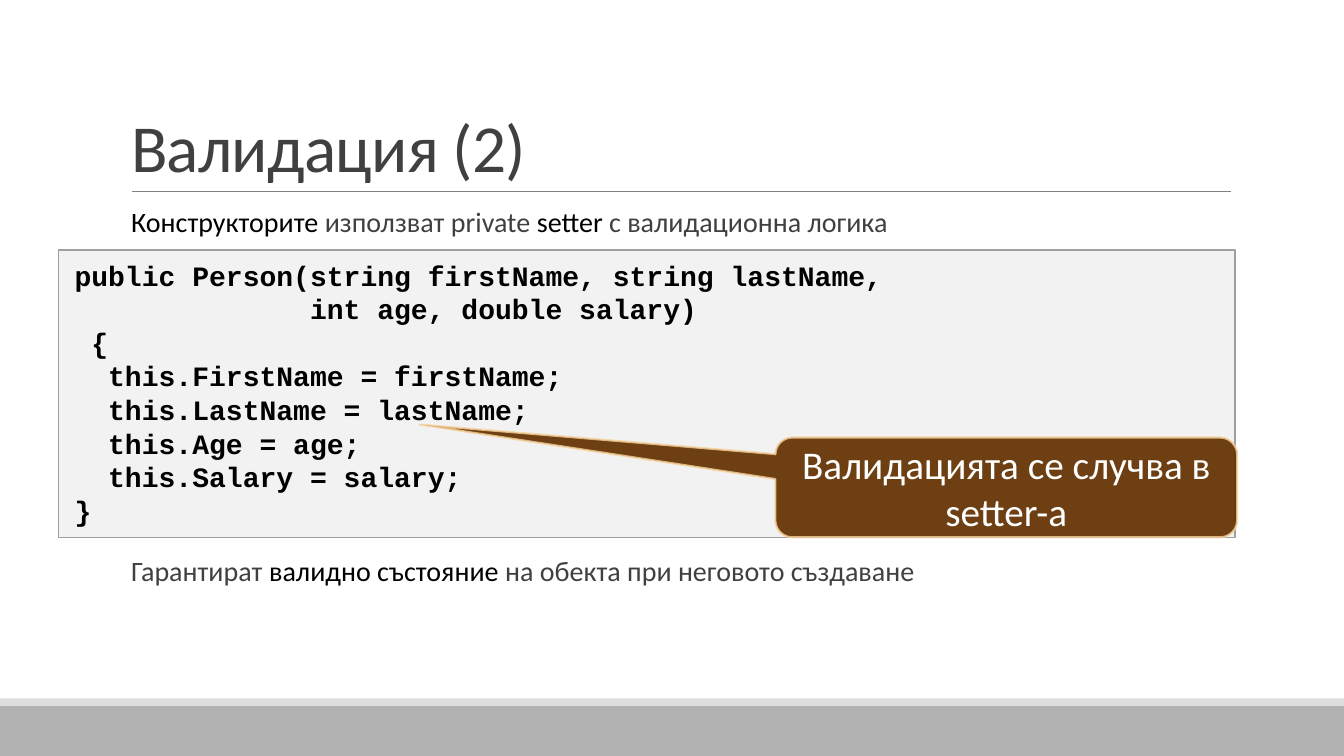
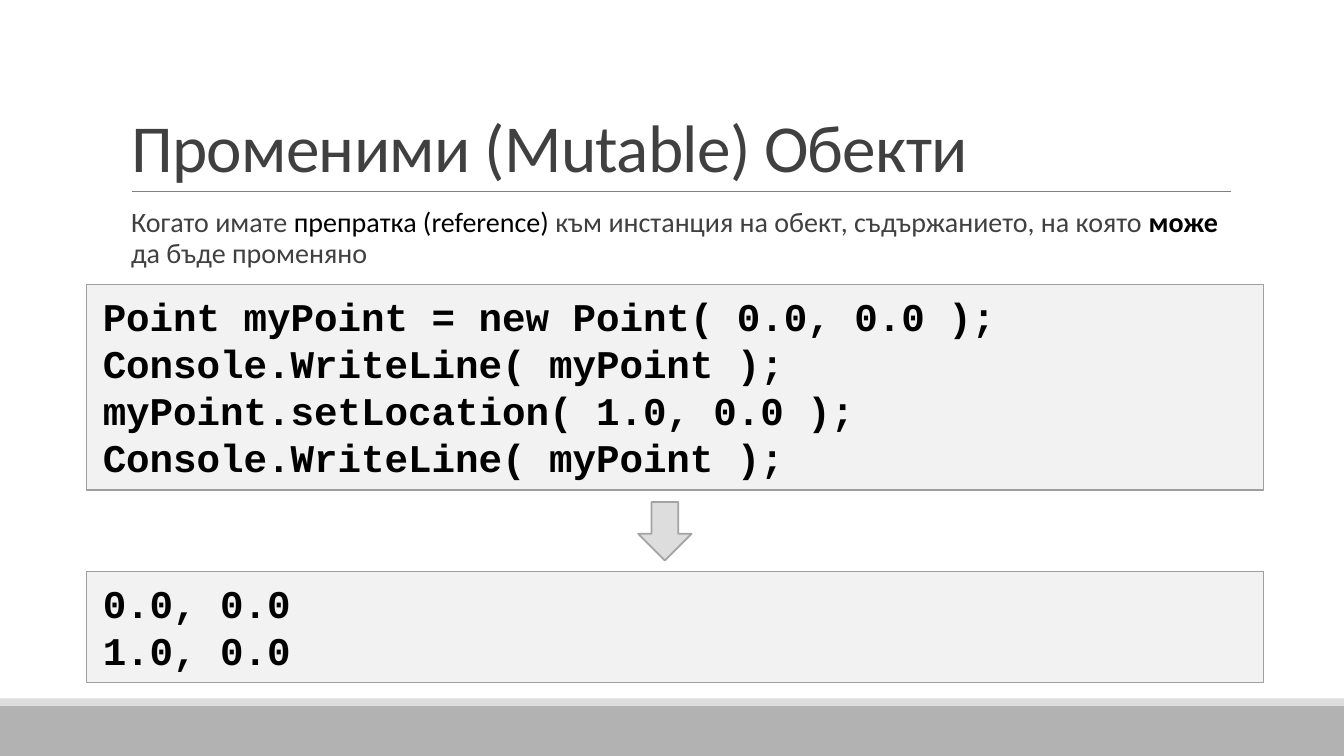
from dataclasses import dataclass

from lxml import etree
from pptx import Presentation
from pptx.dml.color import RGBColor
from pptx.enum import shapes, text
from pptx.oxml import ns
from pptx.util import Inches, Pt

HUES = {
    "band": "B2B2B2", "strip": "DDDDDD", "rule": "808080",
    "text": "404040", "key": "000000", "white": "FFFFFF",
    "code": "BFBFBF", "edge": "9F9F9F", "tip": "A3A3A3",
    "brown": "663606", "gold": "F8D49E",
}
SANS, MONO = "Calibri", "Courier New"
KIND = shapes.MSO_SHAPE


@dataclass
class Box:
    left: float
    top: float
    width: float
    height: float

    def place(self) -> list:
        return [Inches(n) for n in (self.left, self.top, self.width, self.height)]


@dataclass
class Run:
    words: str
    hue: str = "text"
    bold: bool = False


@dataclass
class Note:
    top: float
    runs: list[Run]


@dataclass
class Code:
    box: Box
    size: int
    lines: str


def shade(color) -> RGBColor:
    return RGBColor.from_string(HUES[color])


def fade(fill, hue: str, alpha: int, node) -> None:
    """Fill with a colour at the given opacity in percent."""
    fill.solid()
    fill.fore_color.rgb = shade(hue)
    if alpha < 100:
        tint = node.find(ns.qn("a:solidFill")).find(ns.qn("a:srgbClr"))
        etree.SubElement(tint, ns.qn("a:alpha"), val=str(alpha * 1000))


def style(font, name: str, size: int, hue: str, bold: bool = False) -> None:
    font.name, font.size, font.bold = name, Pt(size), bold
    font.color.rgb = shade(hue)


def add_shape(slide, kind, box: Box, hue: str, alpha: int = 100,
              edge: str = "", width: float = 1, clear: int = 100):
    item = slide.shapes.add_shape(kind, *box.place())
    item.shadow.inherit = False
    node = item._element.spPr
    fade(item.fill, hue, alpha, node)
    if edge:
        item.line.width = Pt(width)
        fade(item.line.fill, edge, clear, node.find(ns.qn("a:ln")))
    else:
        item.line.fill.background()
    return item


def add_box(slide, box: Box):
    """Add a wrapping text box without side margins and give its frame."""
    frame = slide.shapes.add_textbox(*box.place()).text_frame
    frame.word_wrap = True
    frame.margin_left = frame.margin_right = 0
    return frame


def add_base(deck, title: str):
    """Add a slide with the bands, the title and the rule below it."""
    slide = deck.slides.add_slide(deck.slide_layouts[6])
    add_shape(slide, KIND.RECTANGLE, Box(0, 7, 13.33, 0.5), "band")
    add_shape(slide, KIND.RECTANGLE, Box(0, 6.93, 13.33, 0.07), "strip")
    rule = slide.shapes.add_connector(
        shapes.MSO_CONNECTOR.STRAIGHT,
        Inches(1.31), Inches(1.9), Inches(12.21), Inches(1.9))
    rule.line.color.rgb = shade("rule")
    rule.line.width = Pt(0.5)
    etree.SubElement(rule._element.spPr, ns.qn("a:effectLst"))

    frame = add_box(slide, Box(1.3, 0.31, 10.8, 1.59))
    frame.vertical_anchor = text.MSO_ANCHOR.BOTTOM
    para = frame.paragraphs[0]
    para.line_spacing = 0.85
    style(para.font, SANS, 48, "text")
    run = para.add_run()
    run.text = title
    run._r.get_or_add_rPr().set("spc", "-50")
    return slide


def add_note(slide, note: Note) -> None:
    para = add_box(slide, Box(1.3, note.top, 10.9, 0.75)).paragraphs[0]
    para.line_spacing = 0.9
    style(para.font, SANS, 20, "text")
    for part in note.runs:
        run = para.add_run()
        run.text = part.words
        run.font.color.rgb = shade(part.hue)
        run.font.bold = part.bold


def add_code(slide, code: Code) -> None:
    item = add_shape(slide, KIND.RECTANGLE, code.box, "code", 20, "edge")
    frame = item.text_frame
    frame.word_wrap = True
    frame.auto_size = text.MSO_AUTO_SIZE.SHAPE_TO_FIT_TEXT
    frame.vertical_anchor = text.MSO_ANCHOR.TOP
    frame.margin_left = frame.margin_right = Inches(0.16)
    frame.margin_top = frame.margin_bottom = Inches(0.08)
    frame.text = code.lines
    for para in frame.paragraphs:
        para.alignment = text.PP_ALIGN.LEFT
        style(para.font, MONO, code.size, "key", True)


def add_call(slide, box: Box, words: str) -> None:
    item = add_shape(slide, KIND.ROUNDED_RECTANGULAR_CALLOUT, box,
                     "brown", 95, "gold", 1.5, 80)
    for spot, value in enumerate((-1.27, -0.63, 0.17)):
        item.adjustments[spot] = value
    frame = item.text_frame
    frame.word_wrap = True
    frame.vertical_anchor = text.MSO_ANCHOR.MIDDLE
    frame.text = words
    para = frame.paragraphs[0]
    para.alignment = text.PP_ALIGN.CENTER
    style(para.font, SANS, 28, "white")


SETTER = """public Person(string firstName, string lastName,
              int age, double salary)
 {
  this.FirstName = firstName;
  this.LastName = lastName;
  this.Age = age;
  this.Salary = salary;
}"""

POINT = """Point myPoint = new Point( 0.0, 0.0 );
Console.WriteLine( myPoint );
myPoint.setLocation( 1.0, 0.0 );
Console.WriteLine( myPoint );"""

RESULT = """0.0, 0.0
1.0, 0.0"""


def add_valid(deck) -> None:
    slide = add_base(deck, "Валидация (2)")
    add_note(slide, Note(2.02, [
        Run("Конструкторите ", "key"), Run("използват private "),
        Run("setter ", "key"), Run("с валидационна логика")]))
    add_note(slide, Note(5.48, [
        Run("Гарантират "), Run("валидно състояние ", "key"),
        Run("на обекта при неговото създаване")]))
    add_code(slide, Code(Box(0.58, 2.48, 11.67, 2.85), 20, SETTER))
    add_call(slide, Box(7.69, 4.34, 4.58, 0.99),
             "Валидацията се случва в setter-а")


def add_mutable(deck) -> None:
    slide = add_base(deck, "Променими (Mutable) Обекти")
    add_note(slide, Note(2.02, [
        Run("Когато имате "), Run("препратка (reference) ", "key"),
        Run("към инстанция на обект, съдържанието, на която"),
        Run(" може ", "key", True), Run("да бъде променяно")]))
    add_code(slide, Code(Box(0.86, 2.82, 11.67, 2.04), 28, POINT))
    add_shape(slide, KIND.DOWN_ARROW, Box(6.33, 4.98, 0.53, 0.58),
              "strip", edge="tip", width=1.25)
    add_code(slide, Code(Box(0.86, 5.67, 11.67, 1.1), 28, RESULT))


def main() -> None:
    deck = Presentation()
    deck.slide_width, deck.slide_height = Inches(13.33), Inches(7.5)
    add_valid(deck)
    add_mutable(deck)
    deck.save("out.pptx")


if __name__ == "__main__":
    main()
